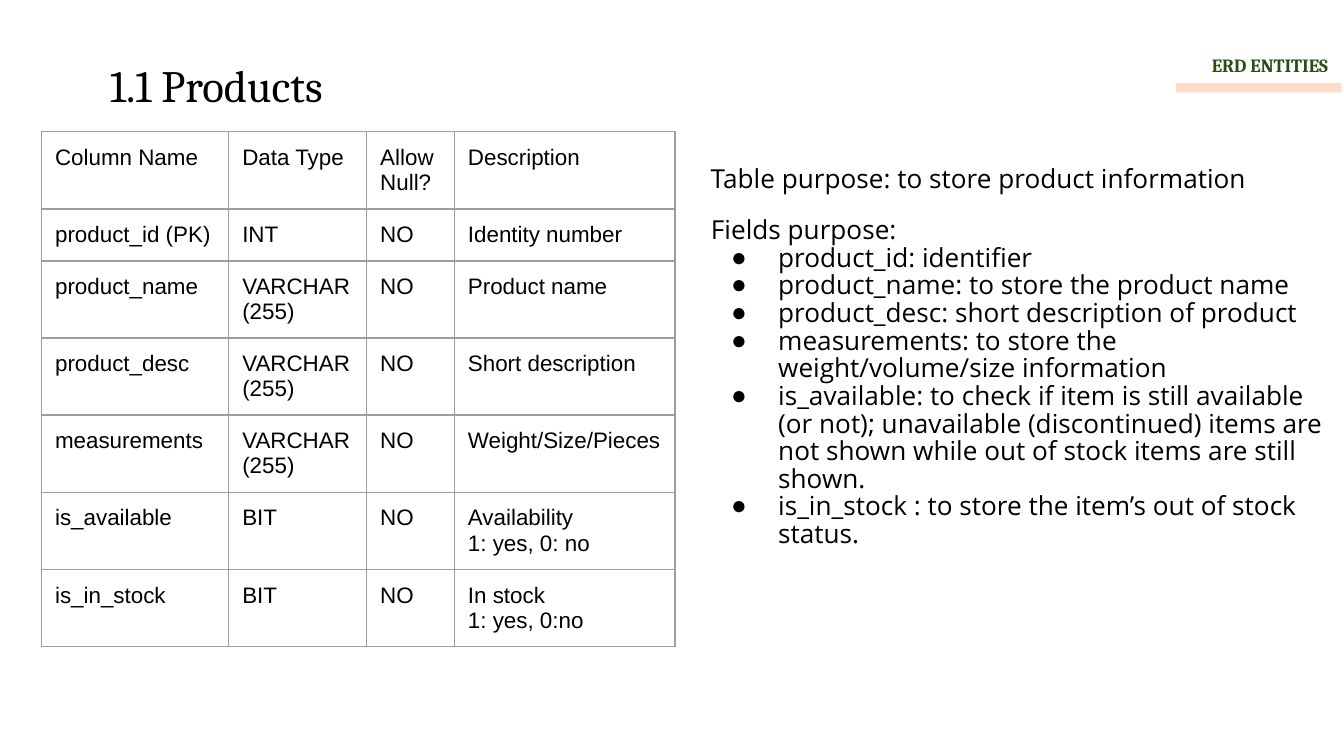
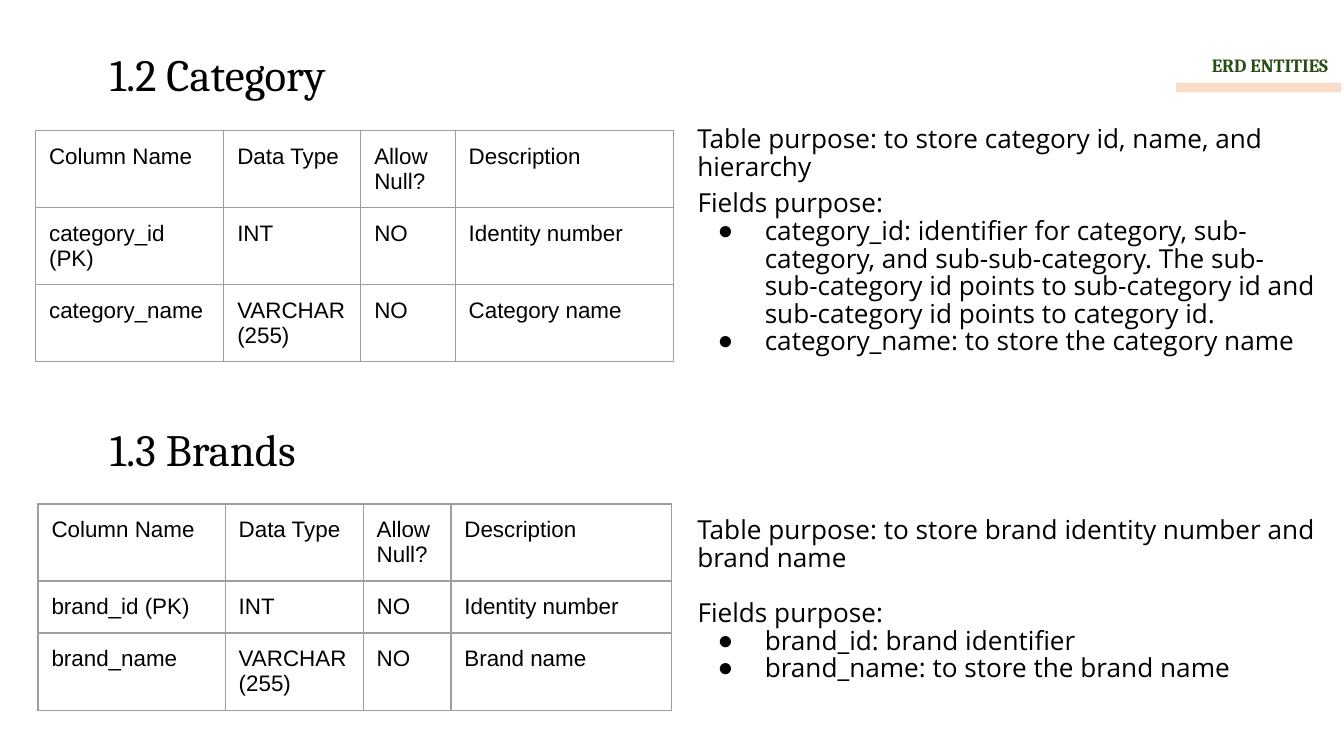
from pptx import Presentation
from pptx.dml.color import RGBColor
from pptx.enum.shapes import MSO_SHAPE
from pptx.enum.text import MSO_ANCHOR, MSO_AUTO_SIZE, PP_ALIGN
from pptx.oxml.ns import qn
from pptx.util import Pt
from lxml.etree import SubElement, Element

# Shared style
BLACK, GREEN, PEACH, GRID = "000000", "274E13", "FADCC8", "9E9E9E"
HEADING_FONT, TABLE_FONT, BODY_FONT = "Cambria", "Arial", "Open Sans"
INSET = 7.2
BODY_LINE_SPACING = 0.88
SECTION = "ERD ENTITIES"
SECTION_BOX = (630, 21.6, 88.6, 32.4)
BAND_BOX = (630, 44.6, 88.6, 5)
HEADING_LEFT, HEADING_WIDTH, HEADING_HEIGHT = 51.8, 466, 38.9
NOTE_WIDTH = 345.6
HEADER = ("Column Name", "Data Type", "Allow Null?", "Description")
HEADER_HEIGHT, SHORT_ROW, TALL_ROW = 35.3, 27.4, 40.3
WIDTHS = (100.3, 73.9, 47, 118.1)

# Content: each slide is a list of entities
SLIDES = [
    [
        {
            "heading": "1.1 Products", "heading_top": 23.8,
            "table_at": (22.3, 70.6), "widths": WIDTHS,
            "rows": [
                ("product_id (PK)", "INT", "NO", "Identity number"),
                ("product_name", "VARCHAR(255)", "NO", "Product name"),
                ("product_desc", "VARCHAR(255)", "NO", "Short description"),
                ("measurements", "VARCHAR(255)", "NO", "Weight/Size/Pieces"),
                ("is_available", "BIT", "NO", "Availability \n1: yes, 0: no"),
                ("is_in_stock", "BIT", "NO", "In stock\n1: yes, 0:no"),
            ],
            "note_left": 373.7,
            "purpose": "Table purpose: to store product information",
            "purpose_span": (82.1, 32.4),
            "fields": [
                "product_id: identifier",
                "product_name: to store the product name",
                "product_desc: short description of product",
                "measurements: to store the weight/volume/size information",
                "is_available: to check if item is still available (or not); "
                "unavailable (discontinued) items are not shown while out of "
                "stock items are still shown.",
                "is_in_stock : to store the item’s out of stock status.",
            ],
            "fields_span": (109.4, 203.8),
        },
    ],
    [
        {
            "heading": "1.2 Category", "heading_top": 18,
            "table_at": (19.1, 69.8), "widths": (100.8, 73.4, 50.6, 116.8),
            "rows": [
                ("category_id (PK)", "INT", "NO", "Identity number"),
                ("category_name", "VARCHAR(255)", "NO", "Category name"),
            ],
            "note_left": 366.5,
            "purpose": "Table purpose: to store category id, name, and hierarchy",
            "purpose_span": (60.5, 42.5),
            "fields": [
                "category_id: identifier for category, sub-category, and "
                "sub-sub-category. The sub-sub-category id points to "
                "sub-category id and sub-category id points to category id.",
                "category_name: to store the category name",
            ],
            "fields_span": (95, 117.4),
        },
        {
            "heading": "1.3 Brands", "heading_top": 218.9,
            "table_at": (20.4, 270), "widths": WIDTHS,
            "rows": [
                ("brand_id (PK)", "INT", "NO", "Identity number"),
                ("brand_name", "VARCHAR(255)", "NO", "Brand name"),
            ],
            "note_left": 366.5,
            "purpose": "Table purpose: to store brand identity number and brand name",
            "purpose_span": (270, 44.6),
            "fields": [
                "brand_id: brand identifier",
                "brand_name: to store the brand name",
            ],
            "fields_span": (314.6, 69.8),
        },
    ],
]


def color(hex_string):
    return RGBColor.from_string(hex_string)


def place(shape, left, top, width, height):
    shape.left, shape.top, shape.width, shape.height = map(Pt, (left, top, width, height))


def prepare_frame(shape):
    frame = shape.text_frame
    frame.word_wrap = True
    frame.auto_size = MSO_AUTO_SIZE.NONE
    frame.vertical_anchor = MSO_ANCHOR.TOP
    frame.margin_left = frame.margin_right = Pt(INSET)
    frame.margin_top = frame.margin_bottom = Pt(INSET)
    return frame


def write(paragraph, text, font, size, hex_string=BLACK, bold=False):
    for index, line in enumerate(text.split("\n")):
        if index:
            paragraph.add_line_break()
        run = paragraph.add_run()
        run.text = line
        run.font.name, run.font.size, run.font.bold = font, Pt(size), bold
        run.font.color.rgb = color(hex_string)


def write_body(paragraph, text, bulleted=False):
    paragraph.line_spacing = BODY_LINE_SPACING
    paragraph.space_before = paragraph.space_after = Pt(0)
    properties = paragraph._p.get_or_add_pPr()
    properties.set("marL", str(Pt(36 if bulleted else 0)))
    properties.set("indent", str(Pt(-25.2 if bulleted else 0)))
    if bulleted:
        bullet_color = SubElement(properties, qn("a:buClr"))
        SubElement(bullet_color, qn("a:srgbClr"), val=BLACK)
        SubElement(properties, qn("a:buChar"), char="●")
    else:
        SubElement(properties, qn("a:buNone"))
    write(paragraph, text, BODY_FONT, 14)


def add_text_box(slide, left, top, width, height):
    box = slide.shapes.add_textbox(Pt(left), Pt(top), Pt(width), Pt(height))
    return prepare_frame(box).paragraphs[0]


def add_section_label(slide):
    title = slide.shapes.title
    place(title, *SECTION_BOX)
    paragraph = prepare_frame(title).paragraphs[0]
    paragraph.alignment = PP_ALIGN.RIGHT
    write(paragraph, SECTION, HEADING_FONT, 10, GREEN, bold=True)
    band = slide.shapes.add_shape(MSO_SHAPE.RECTANGLE, *map(Pt, BAND_BOX))
    band.shadow.inherit = False
    band.fill.solid()
    band.fill.fore_color.rgb = color(PEACH)
    band.line.fill.background()


def border_cell(cell):
    properties = cell._tc.get_or_add_tcPr()
    for index, side in enumerate(("lnL", "lnR", "lnT", "lnB")):
        line = Element(qn(f"a:{side}"), w=str(Pt(0.75)))
        fill = SubElement(line, qn("a:solidFill"))
        SubElement(fill, qn("a:srgbClr"), val=GRID)
        properties.insert(index, line)


def add_entity_table(slide, entity):
    rows = [HEADER] + entity["rows"]
    heights = [HEADER_HEIGHT] + [
        TALL_ROW if "VARCHAR" in row[1] else SHORT_ROW for row in entity["rows"]]
    widths = entity["widths"]
    left, top = entity["table_at"]
    table = slide.shapes.add_table(
        len(rows), len(widths), Pt(left), Pt(top), Pt(sum(widths)), Pt(sum(heights))).table
    table.first_row = table.horz_banding = False
    for column, width in zip(table.columns, widths):
        column.width = Pt(width)
    for row, height, texts in zip(table.rows, heights, rows):
        row.height = Pt(height)
        for cell, text in zip(row.cells, texts):
            cell.margin_left = cell.margin_right = Pt(INSET)
            cell.margin_top = cell.margin_bottom = Pt(INSET)
            cell.fill.background()
            border_cell(cell)
            write(cell.text_frame.paragraphs[0], text, TABLE_FONT, 12)


def add_entity(slide, entity, body):
    # Heading and table
    heading = add_text_box(
        slide, HEADING_LEFT, entity["heading_top"], HEADING_WIDTH, HEADING_HEIGHT)
    write(heading, entity["heading"], HEADING_FONT, 24)
    add_entity_table(slide, entity)

    # Field list and table purpose
    top, height = entity["fields_span"]
    place(body, entity["note_left"], top, NOTE_WIDTH, height)
    frame = prepare_frame(body)
    write_body(frame.paragraphs[0], "Fields purpose:")
    for field in entity["fields"]:
        write_body(frame.add_paragraph(), field, bulleted=True)
    top, height = entity["purpose_span"]
    write_body(add_text_box(slide, entity["note_left"], top, NOTE_WIDTH, height),
               entity["purpose"])


def main():
    presentation = Presentation()
    presentation.slide_width, presentation.slide_height = Pt(720), Pt(405)
    layouts = {1: "Title and Content", 2: "Two Content"}
    for entities in SLIDES:
        layout = presentation.slide_layouts.get_by_name(layouts[len(entities)])
        slide = presentation.slides.add_slide(layout)
        add_section_label(slide)
        bodies = list(slide.placeholders)[1:]
        for entity, body in zip(entities, bodies):
            add_entity(slide, entity, body)
    presentation.save("out.pptx")


if __name__ == "__main__":
    main()
